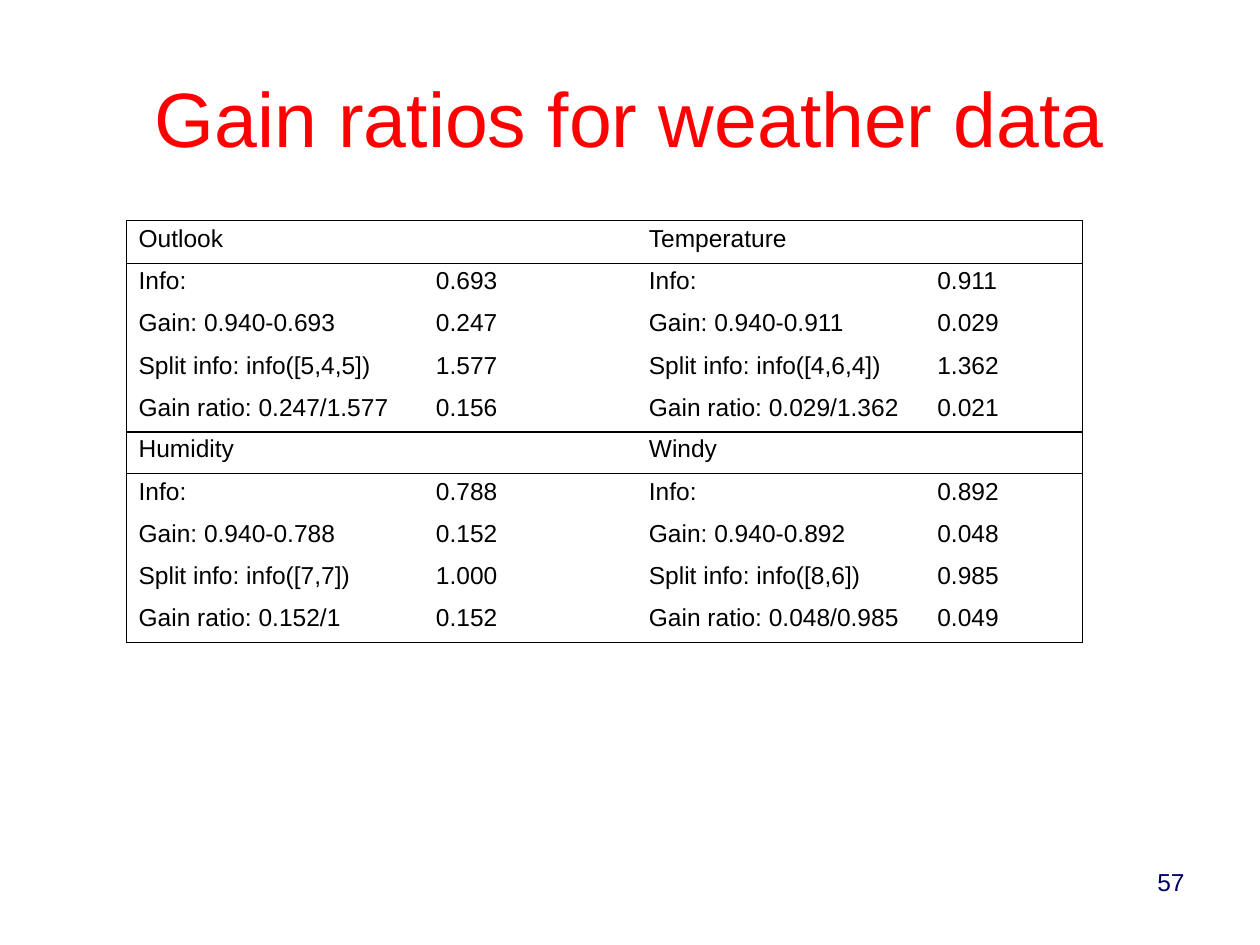
from dataclasses import dataclass

from lxml.etree import SubElement
from pptx import Presentation
from pptx.dml.color import RGBColor
from pptx.enum.text import MSO_ANCHOR, PP_ALIGN
from pptx.oxml.ns import qn
from pptx.util import Inches, Pt


@dataclass(frozen=True)
class Theme:
    font: str = "Arial"
    title_color: str = "FF0000"
    body_color: str = "000000"
    number_color: str = "000066"
    title_size: int = 44
    body_size: int = 14
    line_spacing: float = 0.93
    border_width: float = 0.23


class SlideBuilder:
    """Hold the theme and the current slide and add its elements."""

    def __init__(self, page, theme):
        self.page = page
        self.theme = theme

    def style(self, paragraph, size, color, align=PP_ALIGN.LEFT):
        paragraph.alignment = align
        for span in paragraph.runs:
            span.font.name = self.theme.font
            span.font.size = Pt(size)
            span.font.color.rgb = RGBColor.from_string(color)

    def text(self, words, left, top, width, height, size, color, align, anchor):
        box = self.page.shapes.add_textbox(
            Inches(left), Inches(top), Inches(width), Inches(height)
        )
        frame = box.text_frame
        frame.word_wrap = True
        frame.vertical_anchor = anchor
        frame.text = words
        self.style(frame.paragraphs[0], size, color, align)

    def borders(self, cell, visible):
        properties = cell._tc.get_or_add_tcPr()
        for side in "LRTB":
            line = SubElement(properties, qn(f"a:ln{side}"))
            if side in visible:
                line.set("w", str(Pt(self.theme.border_width)))
                fill = SubElement(line, qn("a:solidFill"))
                SubElement(fill, qn("a:srgbClr")).set("val", self.theme.body_color)
            else:
                SubElement(line, qn("a:noFill"))
        cell.fill.background()

    def table(self, rows, left, top, widths, height):
        frame = self.page.shapes.add_table(
            len(rows), len(widths), Inches(left), Inches(top),
            Inches(sum(widths)), Inches(height),
        )
        table = frame.table
        table.first_row = False
        table.horz_banding = False
        for column, width in zip(table.columns, widths):
            column.width = Inches(width)
        last_row, last_column = len(rows) - 1, len(widths) - 1
        for row, values in enumerate(rows):
            for column, value in enumerate(values):
                cell = table.cell(row, column)
                edges = {
                    "L": column == 0,
                    "R": column == last_column,
                    "T": row <= 1,
                    "B": row in (0, last_row),
                }
                if row == 0 and column == last_column - 1:
                    edges["R"] = True
                self.borders(cell, [side for side, shown in edges.items() if shown])
                cell.text = value
                paragraph = cell.text_frame.paragraphs[0]
                paragraph.line_spacing = self.theme.line_spacing
                self.style(paragraph, self.theme.body_size, self.theme.body_color)
        for column in range(0, len(widths), 2):
            table.cell(0, column).merge(table.cell(0, column + 1))


OUTLOOK_TEMPERATURE = [
    ("Outlook", "", "Temperature", ""),
    ("Info:", "0.693", "Info:", "0.911"),
    ("Gain: 0.940-0.693", "0.247", "Gain: 0.940-0.911", "0.029"),
    ("Split info: info([5,4,5])", "1.577", "Split info: info([4,6,4])", "1.362"),
    ("Gain ratio: 0.247/1.577", "0.156", "Gain ratio: 0.029/1.362", "0.021"),
]
HUMIDITY_WINDY = [
    ("Humidity", "", "Windy", ""),
    ("Info:", "0.788", "Info:", "0.892"),
    ("Gain: 0.940-0.788", "0.152", "Gain: 0.940-0.892", "0.048"),
    ("Split info: info([7,7])", "1.000", "Split info: info([8,6])", "0.985"),
    ("Gain ratio: 0.152/1", "0.152", "Gain ratio: 0.048/0.985", "0.049"),
]
COLUMN_WIDTHS = (2.36, 1.69, 2.29, 1.25)


def main():
    deck = Presentation()
    deck.slide_width, deck.slide_height = Inches(10), Inches(7.5)
    theme = Theme()
    builder = SlideBuilder(deck.slides.add_slide(deck.slide_layouts[6]), theme)
    builder.text(
        "Gain ratios for weather data", 0.5, 0.3, 9, 1.25,
        theme.title_size, theme.title_color, PP_ALIGN.CENTER, MSO_ANCHOR.MIDDLE,
    )
    for rows, top in ((OUTLOOK_TEMPERATURE, 1.75), (HUMIDITY_WINDY, 3.42)):
        builder.table(rows, 1, top, COLUMN_WIDTHS, 1.68)
    builder.text(
        "57", 7.17, 6.83, 2.33, 0.52,
        theme.body_size, theme.number_color, PP_ALIGN.RIGHT, MSO_ANCHOR.TOP,
    )
    deck.save("out.pptx")


if __name__ == "__main__":
    main()
